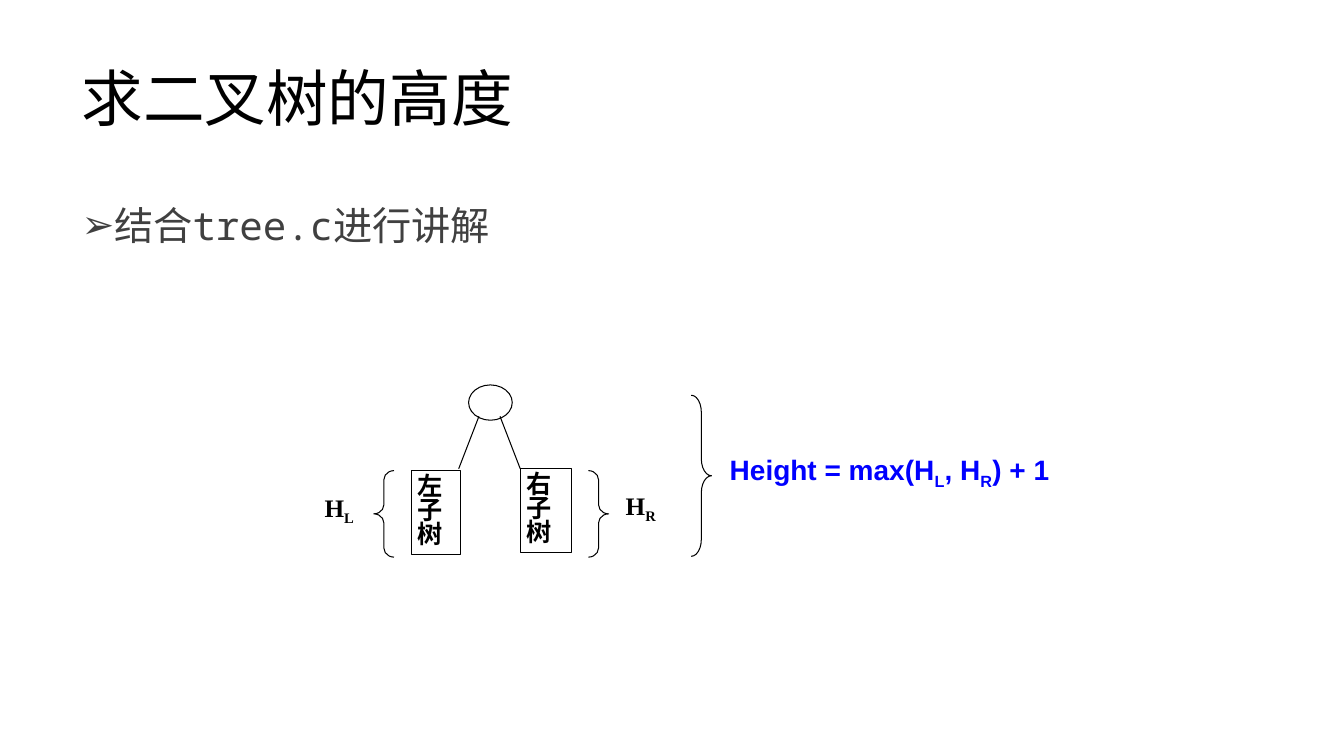
from lxml import etree
from pptx import Presentation
from pptx.dml.color import RGBColor
from pptx.enum.shapes import MSO_CONNECTOR, MSO_SHAPE
from pptx.enum.text import MSO_ANCHOR, MSO_AUTO_SIZE, PP_ALIGN
from pptx.oxml.ns import qn
from pptx.util import Cm, Pt

STRAIGHT = MSO_CONNECTOR.STRAIGHT
OVAL, BOX = MSO_SHAPE.OVAL, MSO_SHAPE.RECTANGLE
LEFT_BRACE, RIGHT_BRACE = MSO_SHAPE.LEFT_BRACE, MSO_SHAPE.RIGHT_BRACE
TOP, MIDDLE = MSO_ANCHOR.TOP, MSO_ANCHOR.MIDDLE
LEFT, JUSTIFY = PP_ALIGN.LEFT, PP_ALIGN.JUSTIFY
GROW = MSO_AUTO_SIZE.SHAPE_TO_FIT_TEXT

COLORS = {"ink": "000000", "body": "404040", "formula": "0000FF", "paper": "FFFFFF"}
CJK_FONT = "Noto Sans CJK SC"


def color(name):
    """Return a palette colour."""
    return RGBColor.from_string(COLORS[name])


class SlideBuilder:
    """Hold the line style and the current slide, and add elements to it."""

    line_width = Pt(0.75)

    def __init__(self, slide):
        """Keep the slide to build on."""
        self.slide = slide

    def format(self, paragraph, size, font, ink="ink", bold=False, align=LEFT, spacing=1.0):
        """Set the font and layout of a whole paragraph."""
        paragraph.alignment = align
        paragraph.line_spacing = spacing
        paragraph.font.size = Pt(size)
        paragraph.font.bold = bold
        paragraph.font.color.rgb = color(ink)
        paragraph.font.name = font
        defaults = paragraph._p.pPr.find(qn("a:defRPr"))
        etree.SubElement(defaults, qn("a:ea")).set("typeface", CJK_FONT)

    def placeholder(self, index, text, box, size, font, ink, anchor):
        """Place and fill a template placeholder; return its paragraph."""
        shape = self.slide.placeholders[index]
        shape.left, shape.top, shape.width, shape.height = map(Cm, box)
        frame = shape.text_frame
        frame.text = text
        frame.vertical_anchor = anchor
        paragraph = frame.paragraphs[0]
        self.format(paragraph, size, font, ink, spacing=0.9)
        return paragraph

    def title(self, text, box):
        """Fill the title."""
        self.placeholder(0, text, box, 44, "Arial", "ink", MIDDLE)

    def bullet(self, text, box):
        """Fill the body with one arrow bullet."""
        paragraph = self.placeholder(1, text, box, 28, "Noto Sans Mono", "body", TOP)
        paragraph.space_before = Pt(10)
        properties = paragraph._p.pPr
        indent = Cm(0.64)
        properties.set("marL", str(indent))
        properties.set("indent", str(-indent))
        mark = etree.Element(qn("a:buChar"), char="➢")
        properties.find(qn("a:defRPr")).addprevious(mark)

    def shape(self, kind, box, fill="paper", outlined=True):
        """Add a preset shape."""
        shape = self.slide.shapes.add_shape(kind, *map(Cm, box))
        shape.shadow.inherit = False
        if fill:
            shape.fill.solid()
            shape.fill.fore_color.rgb = color(fill)
        else:
            shape.fill.background()
        if outlined:
            shape.line.color.rgb = color("ink")
            shape.line.width = self.line_width
        else:
            shape.line.fill.background()
        return shape

    def brace(self, kind, box, curl):
        """Add a brace with the given curl."""
        self.shape(kind, box, fill=None).adjustments[0] = curl

    def edge(self, start, end):
        """Add a tree edge between two points."""
        line = self.slide.shapes.add_connector(STRAIGHT, *map(Cm, start + end))
        line.line.color.rgb = color("ink")
        line.line.width = self.line_width
        etree.SubElement(line._element.spPr, qn("a:effectLst"))

    def label(self, parts, box, size, font, ink="ink", outlined=False,
              insets=(0, 0.05), spacing=1.0):
        """Add a bold label; every second part is a subscript."""
        shape = self.shape(BOX, box, outlined=outlined)
        frame = shape.text_frame
        frame.word_wrap = True
        frame.auto_size = GROW
        frame.vertical_anchor = TOP
        frame.margin_left, frame.margin_right = map(Cm, insets)
        frame.margin_top = frame.margin_bottom = Cm(0.13)
        paragraph = frame.paragraphs[0]
        self.format(paragraph, size, font, ink, True, JUSTIFY, spacing)
        for position, text in enumerate(parts):
            run = paragraph.add_run()
            run.text = text
            if position % 2:
                run.font._element.set("baseline", "-25000")

    def subtree(self, text, box):
        """Add a subtree box with its name running downwards."""
        self.label([text], box, 18, CJK_FONT, outlined=True,
                   insets=(0.15, 0.15), spacing=0.8)

    def height(self, side, left, top):
        """Add the height symbol of one subtree."""
        self.label(["H", side], (left, top, 0.89, 1.8), 18, "Times New Roman")


def main():
    """Build and save the slide."""
    presentation = Presentation()
    presentation.slide_width, presentation.slide_height = Cm(33.87), Cm(19.05)
    slide = presentation.slides.add_slide(presentation.slide_layouts[1])
    builder = SlideBuilder(slide)

    builder.title("求二叉树的高度", (1.8, 0.71, 29.21, 3.68))
    builder.bullet("结合tree.c进行讲解", (1.8, 5.08, 29.21, 12.09))

    builder.shape(OVAL, (11.81, 9.7, 1.1, 0.89))
    builder.edge((12.07, 10.49), (11.56, 11.81))
    builder.edge((12.6, 10.49), (13.11, 11.81))
    builder.subtree("左子树", (10.36, 11.86, 1.25, 2.11))
    builder.subtree("右子树", (13.11, 11.81, 1.3, 2.11))

    builder.brace(LEFT_BRACE, (9.42, 11.86, 0.51, 2.18), 0.45)
    builder.brace(RIGHT_BRACE, (14.83, 11.86, 0.51, 2.18), 0.45)
    builder.height("L", 8.18, 12.27)
    builder.height("R", 15.77, 12.22)

    builder.brace(RIGHT_BRACE, (17.42, 9.96, 0.51, 4.06), 0.84)
    builder.label(["Height = max(H", "L", ", H", "R", ") + 1"],
                  (18.39, 11.28, 8.2, 1.12), 20, "Arial", "formula")

    presentation.save("out.pptx")


main()
